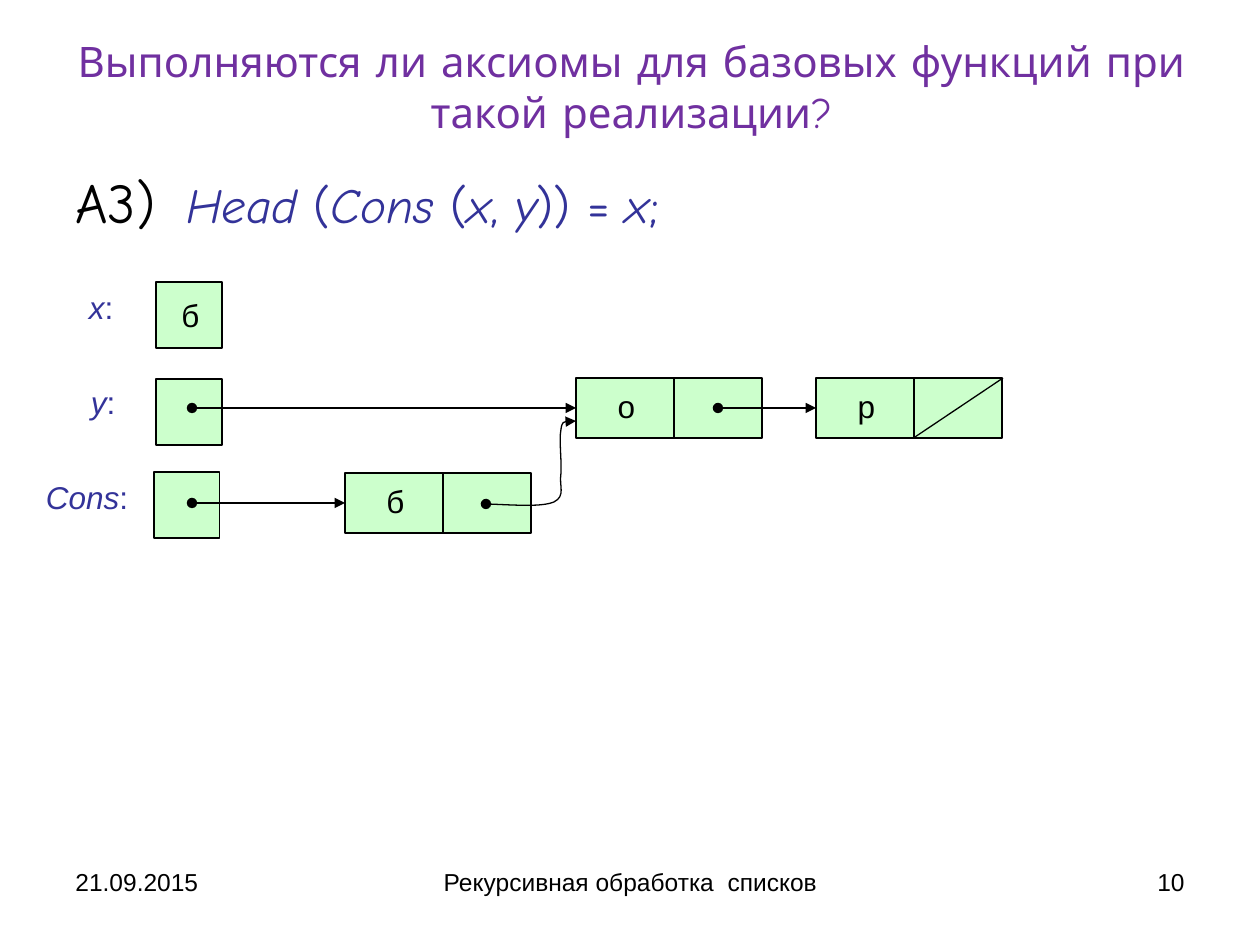
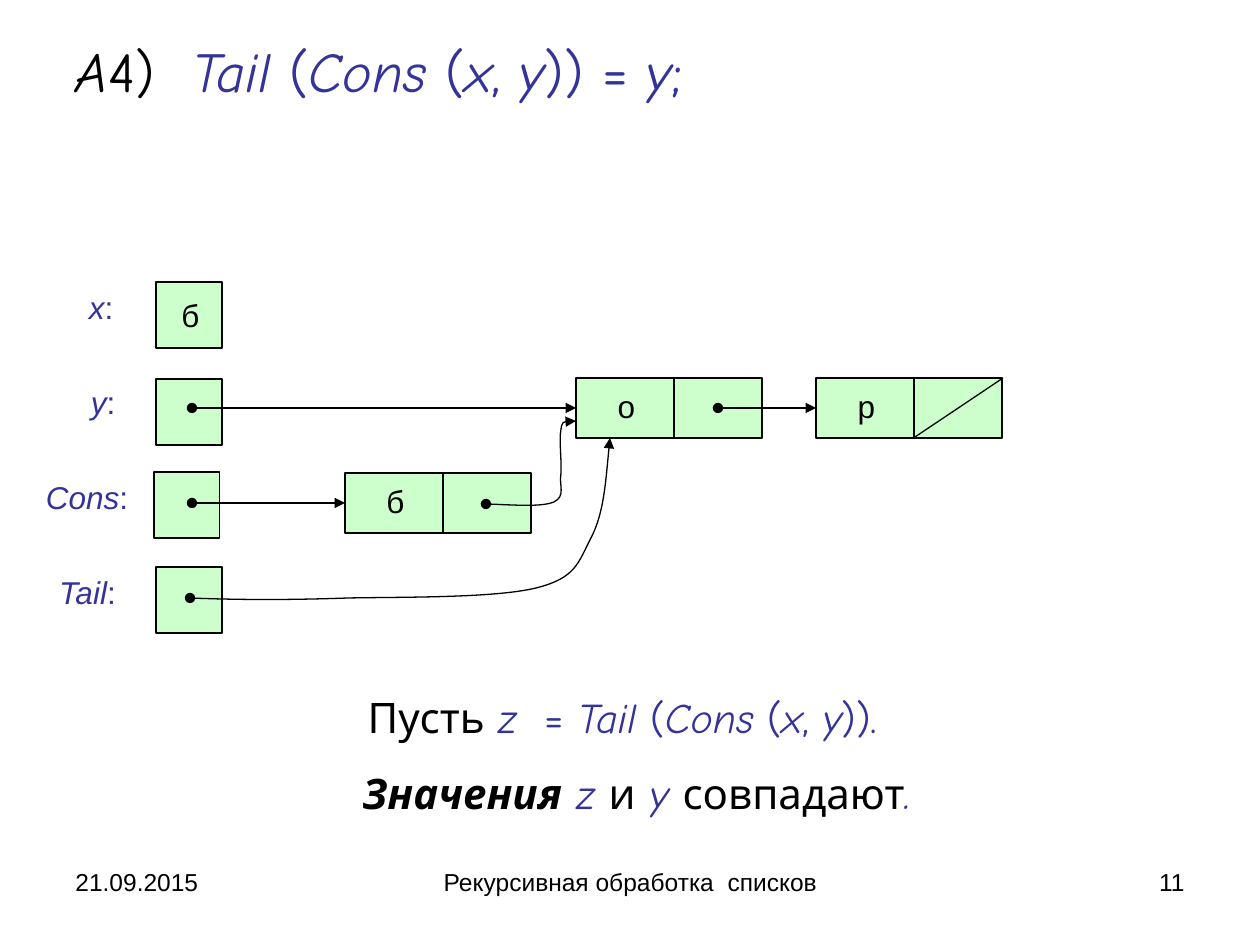
"""Build two slides that check list axioms A3 and A4 on box-and-pointer diagrams."""
import pptx
import pptx.dml.color
import pptx.enum.shapes
import pptx.enum.text
import pptx.oxml
import pptx.oxml.ns
import pptx.util

EMU_PER_PX = 914400 / 126
COLORS = {"ink": "000000", "formula": "333399", "heading": "7030A0", "cell": "CCFFCC"}
BODY_FONT, FORMULA_FONT = "Arial", "Comic Neue"
ALIGN = pptx.enum.text.PP_ALIGN
REGISTER_SIZE = 66
CELL_WIDTH, CELL_HEIGHT, DIVIDER = 186, 60, 98
LIST_LINK = [(486, 504),
             (514, 505), (542, 507), (554, 502),
             (566, 496), (559, 486), (561, 474),
             (562, 462), (559, 440), (561, 430),
             (562, 421), (566, 422), (568, 421),
             (571, 420), (573, 421), (576, 421)]
TAIL_LINK = [(190, 598),
             (241, 600), (291, 600), (349, 598),
             (407, 597), (495, 598), (536, 588),
             (576, 578), (578, 563), (591, 538),
             (604, 513), (606, 476), (610, 438)]


def px(*lengths):
    """Turn px lengths into a list of EMU."""
    return [pptx.util.Emu(round(length * EMU_PER_PX)) for length in lengths]


def color(name):
    """Return the RGB colour registered under a name."""
    return pptx.dml.color.RGBColor.from_string(COLORS[name])


def formula(*parts):
    """Return runs that alternate italic names and upright signs."""
    return [(part, "formula", "" if i % 2 else "i") for i, part in enumerate(parts)]


def style_run(run, size, font, color_name, style=""):
    """Set the font of one run; style may hold b and i."""
    run.font.size = pptx.util.Pt(size)
    run.font.name = font
    run.font.bold = "b" in style
    run.font.italic = "i" in style
    run.font.color.rgb = color(color_name)


def write_runs(paragraph, runs, size, font, align=ALIGN.LEFT, before=0):
    """Fill a paragraph with (text, colour, style) runs."""
    paragraph.alignment = align
    paragraph.space_before = pptx.util.Pt(before)
    for text, color_name, style in runs:
        run = paragraph.add_run()
        run.text = text
        style_run(run, size, font, color_name, style)


def add_text(slide, box, paragraphs, size, font, align=ALIGN.LEFT, before=0, insets=None):
    """Add a wrapping text box with one list of runs per paragraph."""
    frame = slide.shapes.add_textbox(*px(*box)).text_frame
    frame.word_wrap = True
    if insets:
        frame.margin_left, frame.margin_top = px(*insets)
        frame.margin_right, frame.margin_bottom = px(*insets)
    for i, runs in enumerate(paragraphs):
        paragraph = frame.add_paragraph() if i else frame.paragraphs[0]
        write_runs(paragraph, runs, size, font, align, before)
    return frame


def set_title(slide, box, runs, size, align):
    """Move the title placeholder and fill it."""
    title = slide.shapes.title
    title.left, title.top, title.width, title.height = px(*box)
    frame = title.text_frame
    frame.auto_size = pptx.enum.text.MSO_AUTO_SIZE.NONE
    frame.vertical_anchor = pptx.enum.text.MSO_ANCHOR.MIDDLE
    write_runs(frame.paragraphs[0], runs, size, FORMULA_FONT, align)


def add_footer(slide, number):
    """Add the date, the lecture name and the slide number."""
    for left, width, text, align in [
        (63, 294, "21.09.2015", ALIGN.LEFT),
        (431, 399, "Рекурсивная обработка  списков", ALIGN.CENTER),
        (903, 294, str(number), ALIGN.RIGHT),
    ]:
        add_text(slide, (left, 861, width, 65), [[(text, "ink", "")]], 14, BODY_FONT, align)


def add_box(slide, left, top, width, height):
    """Add a green memory box."""
    box = slide.shapes.add_shape(
        pptx.enum.shapes.MSO_SHAPE.RECTANGLE, *px(left, top, width, height))
    box.shadow.inherit = False
    box.fill.solid()
    box.fill.fore_color.rgb = color("cell")
    set_line(box.line, 0.75)
    return box


def set_line(line, width, pointer=False):
    """Style a line; a pointer starts with a dot and ends with an arrowhead."""
    line.color.rgb = color("ink")
    line.width = pptx.util.Pt(width)
    if pointer:
        ln = line._get_or_add_ln()
        for tag, kind in (("a:headEnd", "oval"), ("a:tailEnd", "triangle")):
            ln.append(pptx.oxml.parse_xml(
                f'<{tag} {pptx.oxml.ns.nsdecls("a")} type="{kind}"/>'))


def add_line(slide, start, end, width=0.75, pointer=False):
    """Add a straight line without a shadow."""
    line = slide.shapes.add_connector(
        pptx.enum.shapes.MSO_CONNECTOR.STRAIGHT, *px(*start, *end))
    set_line(line.line, width, pointer)
    line._element.spPr.append(
        pptx.oxml.parse_xml(f'<a:effectLst {pptx.oxml.ns.nsdecls("a")}/>'))
    return line


def add_pointer(slide, start_x, cell):
    """Point horizontally at the middle of a cell's left side."""
    middle = (cell.top + cell.height / 2) / EMU_PER_PX
    end = (cell.left / EMU_PER_PX, middle)
    add_line(slide, (start_x, middle), end, 1, True).end_connect(cell, 1)


def add_curve(slide, points):
    """Draw a pointer along cubic curves, three points to a segment."""
    builder = slide.shapes.build_freeform(*points[0], scale=EMU_PER_PX)
    builder.add_line_segments(points[1:], close=False)
    curve = builder.convert_to_shape()
    curve.shadow.inherit = False
    curve.fill.background()
    set_line(curve.line, 0.75, True)
    steps = list(curve._element.iter(pptx.oxml.ns.qn("a:lnTo")))
    for i in range(0, len(steps), 3):
        bezier = pptx.oxml.parse_xml(f'<a:cubicBezTo {pptx.oxml.ns.nsdecls("a")}/>')
        steps[i].addprevious(bezier)
        for step in steps[i:i + 3]:
            bezier.append(step[0])
            step.getparent().remove(step)


def add_letter(slide, left, top, letter):
    """Add the atom stored in a box."""
    add_text(slide, (left, top, 25, 40), [[(letter, "ink", "")]], 18, BODY_FONT,
             ALIGN.CENTER, 11.2, (2, 1))


def add_register(slide, left, top, name, label_box):
    """Add a variable's box with its label."""
    add_box(slide, left, top, REGISTER_SIZE, REGISTER_SIZE)
    add_text(slide, (*label_box, 50), [formula(name, ":")], 18, BODY_FONT,
             ALIGN.CENTER, 11.2)


def add_cell(slide, left, top, letter):
    """Add a two-part list cell and return its box."""
    cell = add_box(slide, left, top, CELL_WIDTH, CELL_HEIGHT)
    divider = left + DIVIDER
    add_line(slide, (divider, top), (divider, top + CELL_HEIGHT - 1))
    add_letter(slide, left + 38, top + 8, letter)
    return cell


def add_list_diagram(slide):
    """Draw x, y and Cons with the list cells they refer to."""
    add_register(slide, 156, 282, "x", (60, 282, 82))
    add_letter(slide, 178, 295, "б")
    add_register(slide, 156, 379, "y", (62, 377, 82))
    add_register(slide, 154, 472, "Cons", (28, 472, 118))
    new_cell = add_cell(slide, 345, 473, "б")
    first_cell = add_cell(slide, 576, 378, "о")
    last_cell = add_cell(slide, 816, 378, "р")
    add_line(slide, (1003, 378), (915, 437))
    for start_x, cell in ((192, new_cell), (192, first_cell), (718, last_cell)):
        add_pointer(slide, start_x, cell)
    add_curve(slide, LIST_LINK)


def build_head_slide(slide):
    """Fill the slide on axiom A3."""
    question = "Выполняются ли аксиомы для базовых функций при такой реализации?"
    set_title(slide, (19, 18, 1225, 136), [(question, "heading", "")], 24, ALIGN.CENTER)
    axiom = add_text(slide, (63, 161, 1134, 82), [[("A3) \t", "ink", "")]], 32,
                     FORMULA_FONT, before=7).paragraphs[0]
    write_runs(axiom, formula("Head ", "(", "Cons ", "(", "x", ",\u00a0".replace("\u00a0", chr(160)),
                              "y", ")) = ", "x", ";"), 28, FORMULA_FONT, before=7)
    properties = axiom._p.get_or_add_pPr()
    hanging = px(48)[0]
    properties.set("marL", str(hanging))
    properties.set("indent", str(-hanging))
    properties.append(pptx.oxml.parse_xml(
        f'<a:tabLst {pptx.oxml.ns.nsdecls("a")}><a:tab pos="{px(126)[0]}" algn="l"/></a:tabLst>'))
    add_list_diagram(slide)


def build_tail_slide(slide):
    """Fill the slide on axiom A4."""
    tail_of_cons = ("Tail ", "(", "Cons ", "(", "x", "," + chr(160), "y")
    set_title(slide, (63, 38, 1134, 64),
              [("A", "ink", "i"), ("4)  ", "ink", ""),
               *formula(*tail_of_cons, ")) = ", "y", ";")], 32, ALIGN.LEFT)
    add_list_diagram(slide)
    add_register(slide, 156, 567, "Tail", (34, 567, 107))
    add_curve(slide, TAIL_LINK)
    premise = [("Пусть ", "ink", ""), *formula("z", "  = ", *tail_of_cons, ")).  ")]
    conclusion = [("Значения ", "ink", "bi"), ("z", "formula", "i"), (" и ", "ink", ""),
                  ("y ", "formula", "i"), ("совпадают", "ink", ""), (".", "formula", "i")]
    add_text(slide, (35, 685, 1203, 140), [premise, conclusion], 24, FORMULA_FONT,
             ALIGN.CENTER, 15)


def main():
    """Build and save the presentation."""
    deck = pptx.Presentation()
    deck.slide_width, deck.slide_height = px(1260, 945)
    for number, build in enumerate((build_head_slide, build_tail_slide), start=10):
        slide = deck.slides.add_slide(deck.slide_layouts[5])
        add_footer(slide, number)
        build(slide)
    deck.save("out.pptx")


if __name__ == "__main__":
    main()
